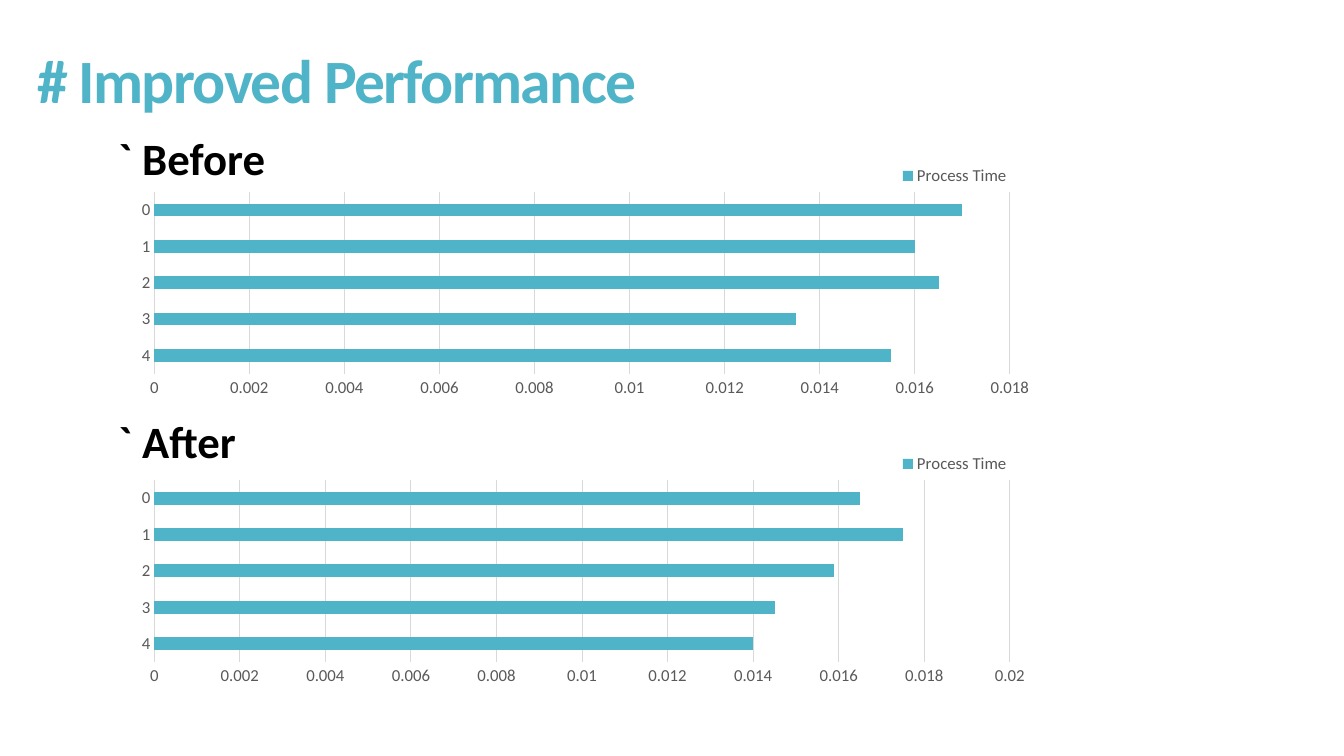
from lxml.etree import SubElement, Element
from pptx import Presentation
from pptx.chart.data import CategoryChartData
from pptx.dml.color import RGBColor
from pptx.enum.chart import XL_CHART_TYPE as ChartType
from pptx.enum.chart import XL_LEGEND_POSITION as LegendPosition
from pptx.enum.chart import XL_TICK_MARK as TickMark
from pptx.enum.text import MSO_ANCHOR as Anchor
from pptx.enum.text import MSO_AUTO_SIZE as AutoSize
from pptx.oxml.ns import qn
from pptx.util import Cm, Pt

TEAL = RGBColor(0x50, 0xB4, 0xC8)
BLACK = RGBColor(0, 0, 0)
GRAY = RGBColor(0x59, 0x59, 0x59)
PALE = RGBColor(0xD9, 0xD9, 0xD9)

TITLE_FONT = {"name": "Calibri", "size": Pt(44), "bold": True, "color": TEAL}
HEADING_FONT = {"name": "Calibri", "size": Pt(32), "bold": True, "color": BLACK}
CHART_FONT = {"name": "Calibri", "size": Pt(12), "bold": False, "color": GRAY}

RUNS = ["4", "3", "2", "1", "0"]
SECTIONS = [
    ("` Before", 3.18, 3.71, 0.018, [0.0155, 0.0135, 0.0165, 0.016, 0.017]),
    ("` After", 10.29, 10.97, 0.02, [0.014, 0.0145, 0.0159, 0.0175, 0.0165]),
]


def set_values(target, values):
    for name, value in values.items():
        setattr(target, name, value)


def set_font(font, values):
    for name, value in values.items():
        if name == "color":
            font.color.rgb = value
        else:
            setattr(font, name, value)


def set_line(line):
    line.color.rgb = PALE
    line.width = Pt(0.75)


def add_text(slide, words, box, font, frame_values):
    frame = slide.shapes.add_textbox(*map(Cm, box)).text_frame
    set_values(frame, {"word_wrap": True, **frame_values})
    paragraph = frame.paragraphs[0]
    run = paragraph.add_run()
    run.text = words
    set_font(run.font, font)
    return paragraph, run


def add_title(slide, words):
    paragraph, run = add_text(slide, words, (0.69, 0.69, 18.95, 2.9),
                              TITLE_FONT, {"vertical_anchor": Anchor.MIDDLE})
    paragraph.line_spacing = 0.85
    run.font._element.set("spc", "-120")


def place(part, index, values):
    for old in part.findall(qn("c:layout")):
        part.remove(old)
    layout = Element(qn("c:layout"))
    manual = SubElement(layout, qn("c:manualLayout"))
    for name, value in values.items():
        SubElement(manual, qn(f"c:{name}")).set("val", str(value))
    part.insert(index, layout)


def add_time_chart(slide, top, longest, times):
    data = CategoryChartData(number_format="General")
    data.categories = RUNS
    data.add_series("Process Time", times)
    chart = slide.shapes.add_chart(
        ChartType.BAR_CLUSTERED, Cm(2.87), Cm(top), Cm(23.16), Cm(6.86), data).chart
    set_values(chart, {"has_title": False, "has_legend": True})
    set_font(chart.font, CHART_FONT)

    bars = chart.plots[0]
    set_values(bars, {"gap_width": 182, "vary_by_categories": False})
    fill = bars.series[0].format.fill
    fill.solid()
    fill.fore_color.rgb = TEAL

    runs, seconds = chart.category_axis, chart.value_axis
    for axis in (runs, seconds):
        set_values(axis, {"major_tick_mark": TickMark.NONE,
                          "minor_tick_mark": TickMark.NONE})
        set_font(axis.tick_labels.font, CHART_FONT)
    set_line(runs.format.line)
    set_values(seconds, {"minimum_scale": 0, "maximum_scale": longest,
                         "major_unit": 0.002, "has_major_gridlines": True})
    seconds.format.line.fill.background()
    set_line(seconds.major_gridlines.format.line)

    set_values(chart.legend, {"position": LegendPosition.BOTTOM,
                              "include_in_layout": False})
    set_font(chart.legend.font, CHART_FONT)
    plot_area = chart._chartSpace.chart.plotArea
    place(plot_area, 0, {"layoutTarget": "inner", "xMode": "edge", "yMode": "edge",
                         "x": 0.044, "y": 0.164, "w": 0.931, "h": 0.668})
    place(chart.legend._element, 1, {"xMode": "edge", "yMode": "edge",
                                     "x": 0.85, "y": 0.05, "w": 0.13, "h": 0.11})


def main():
    deck = Presentation()
    set_values(deck, {"slide_width": Cm(33.87), "slide_height": Cm(19.05)})
    slide = deck.slides.add_slide(deck.slide_layouts[6])
    add_title(slide, "# Improved Performance")
    for heading, heading_top, chart_top, longest, times in SECTIONS:
        add_text(slide, heading, (2.74, heading_top, 6.96, 1.62),
                 HEADING_FONT, {"auto_size": AutoSize.SHAPE_TO_FIT_TEXT})
        add_time_chart(slide, chart_top, longest, times)
    deck.save("out.pptx")


main()
